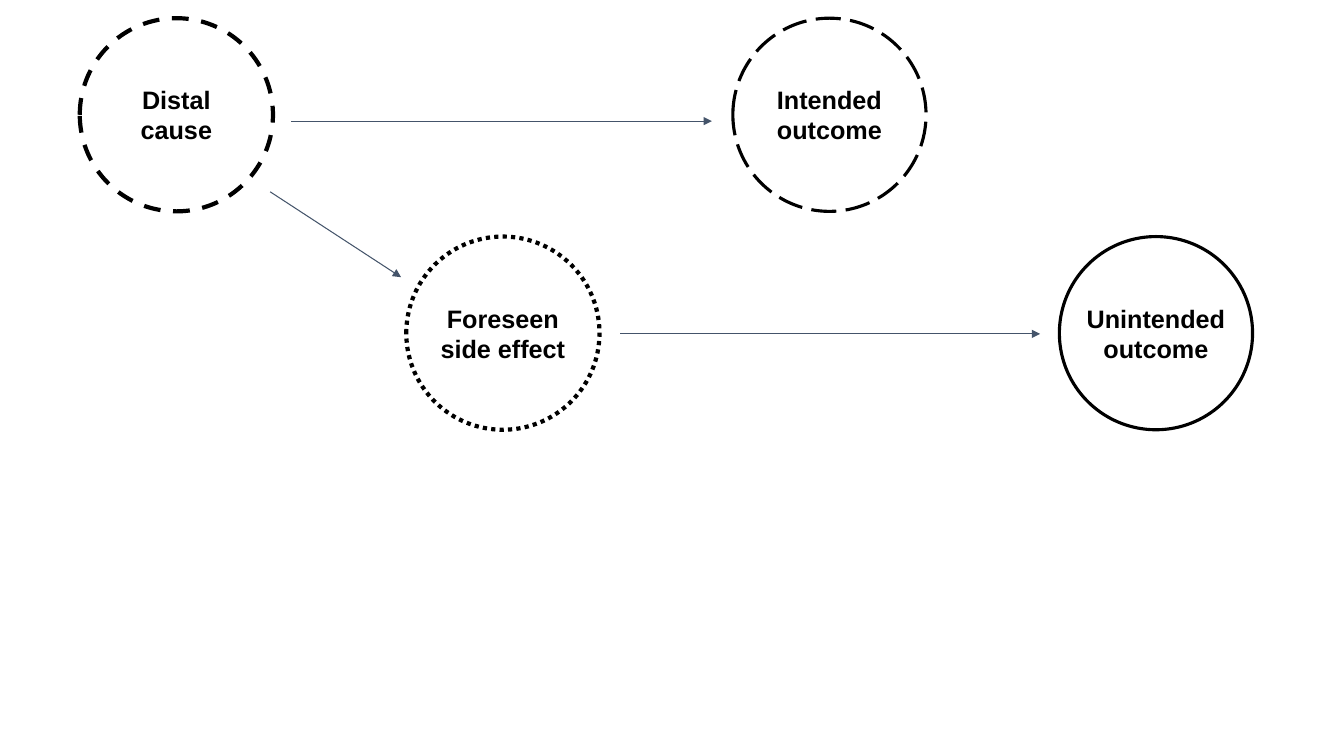
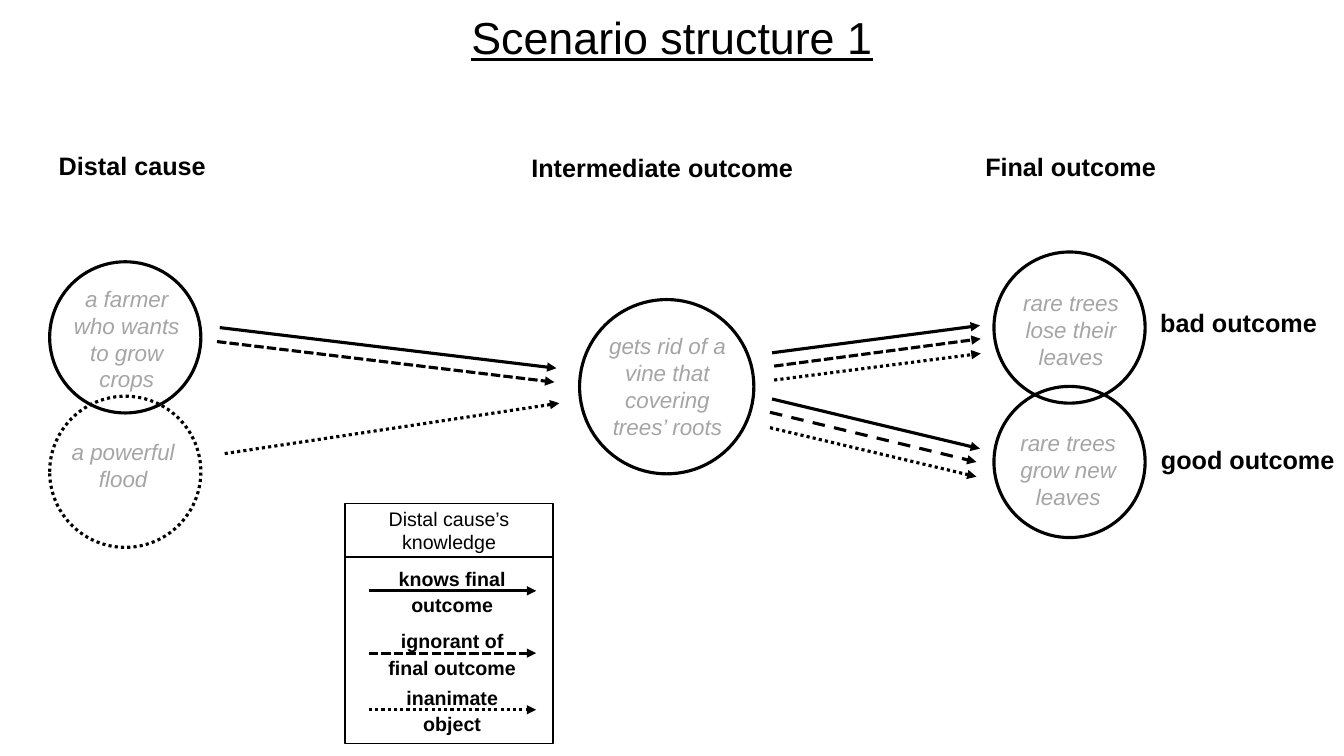
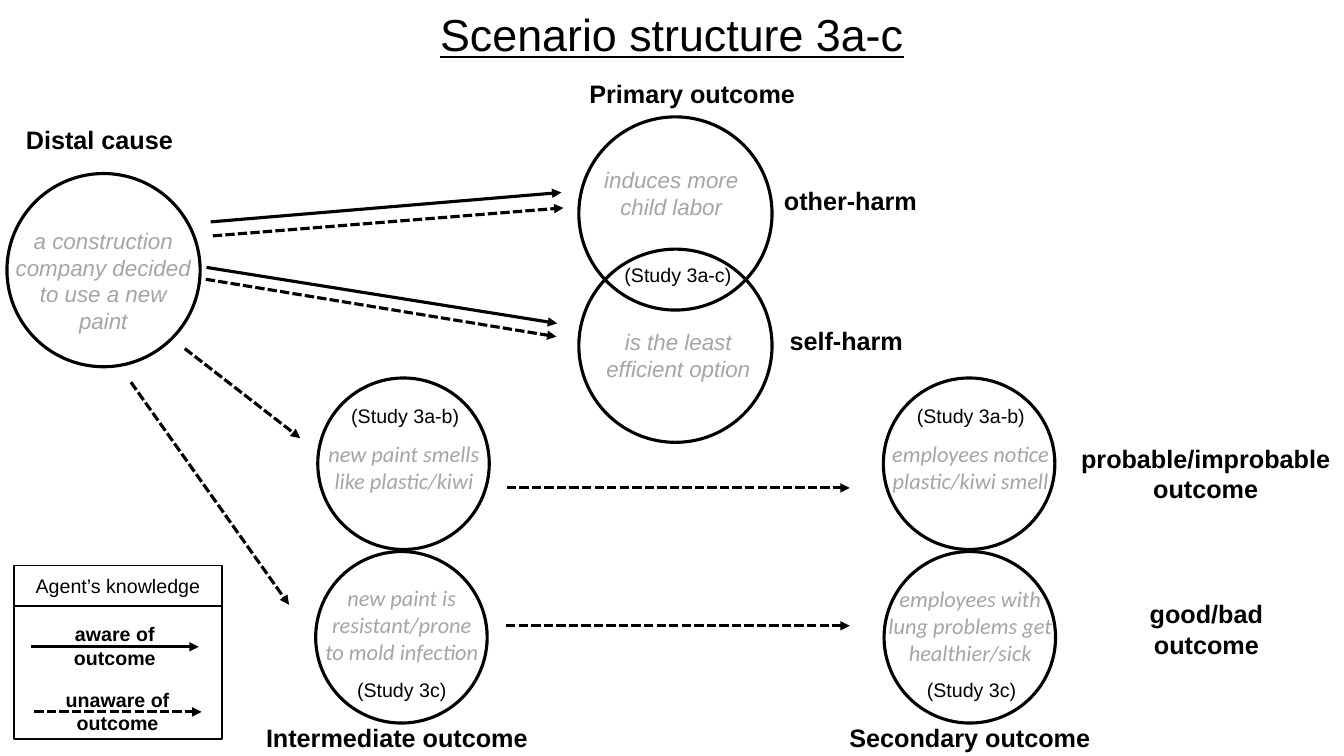
from lxml import etree
from pptx import Presentation
from pptx.dml.color import RGBColor
from pptx.enum.dml import MSO_LINE
from pptx.enum.shapes import MSO_CONNECTOR, MSO_SHAPE
from pptx.enum.text import MSO_ANCHOR, PP_ALIGN
from pptx.oxml.ns import qn
from pptx.util import Pt

RING, RECT = MSO_SHAPE.OVAL, MSO_SHAPE.RECTANGLE
DASH, LONG = MSO_LINE.DASH, MSO_LINE.LONG_DASH
SHORT, DOT = MSO_LINE.SQUARE_DOT, MSO_LINE.ROUND_DOT
SOLID = None
BLACK, GREY, SLATE = "000000", "A5A5A5", "44546A"

TITLE = dict(size=32, under=True)
LABEL = dict(bold=True, wrap=False)
BLOCK = dict(bold=True)
PHRASE = dict(size=16, slant=True, ink=GREY)
CALM = dict(PHRASE, font="Calibri")
STUDY = dict(size=14)


def put(page, text, x, y, w, h, kind=None, wide=2.25, dash=SOLID, size=18, font="Arial",
        ink=BLACK, bold=False, slant=False, under=False, wrap=True, lead=None):
    """Add centred text, in an outlined shape if a kind is given."""
    box = Pt(x), Pt(y), Pt(w), Pt(h)
    if kind is None:
        item = page.shapes.add_textbox(*box)
    else:
        item = page.shapes.add_shape(kind, *box)
        item.shadow.inherit = False
        item.fill.background()
        item.line.color.rgb = RGBColor.from_string(BLACK)
        item.line.width = Pt(wide)
        item.line.dash_style = dash
    frame = item.text_frame
    frame.word_wrap = wrap
    frame.vertical_anchor = MSO_ANCHOR.MIDDLE if kind else MSO_ANCHOR.TOP
    frame.text = text
    for para in frame.paragraphs:
        para.alignment = PP_ALIGN.CENTER
        if lead:
            para.line_spacing = Pt(lead)
        face = para.font
        face.name, face.size = font, Pt(size)
        face.bold, face.italic, face.underline = bold, slant, under
        face.color.rgb = RGBColor.from_string(ink)


def point(page, x1, y1, x2, y2, dash=SOLID, ink=BLACK, wide=2.25):
    """Add an arrow that ends at x2, y2."""
    item = page.shapes.add_connector(
        MSO_CONNECTOR.STRAIGHT, Pt(x1), Pt(y1), Pt(x2), Pt(y2))
    item.line.color.rgb = RGBColor.from_string(ink)
    item.line.width = Pt(wide)
    item.line.dash_style = dash
    props = item.element.spPr
    etree.SubElement(props.find(qn("a:ln")), qn("a:tailEnd"), type="triangle")
    etree.SubElement(props, qn("a:effectLst"))


deck = Presentation()
deck.slide_width, deck.slide_height = Pt(960), Pt(540)
blank = deck.slide_layouts[6]

# Causes and outcomes
page = deck.slides.add_slide(blank)
nodes = [
    ("Distal\ncause", 3, DASH),
    ("Foreseen\nside effect", 3, DOT),
    ("Intended\noutcome", 2.25, LONG),
    ("Unintended\noutcome", 2.25, SOLID),
]
for i, (text, wide, dash) in enumerate(nodes):
    put(page, text, 57 + 233.25 * i, 13 + 156 * (i % 2), 138, 138,
        kind=RING, wide=wide, dash=dash, **LABEL)
for ends in [(208, 86.5, 508.5, 86.5), (193, 137, 286.5, 198), (443, 238.5, 743, 238.5)]:
    point(page, *ends, ink=SLATE, wide=0.75)

# Scenario slides: rings are x, y, size; words are style, text, x, y, w, h;
# a key has its head, its place, the head and body heights, and rows of text, x, y, dash.
first = dict(
    title="Scenario structure 1", top=3.5,
    rings=[(35.5, 187, 108, SOLID), (35.5, 283, 108, DOT), (414, 214, 124.5, SOLID),
           (710, 180, 108, SOLID), (710, 276, 108, SOLID)],
    words=[
        (LABEL, "Distal cause", 2, 103.5, 185, 29),
        (LABEL, "Intermediate outcome", 371.5, 105, 203, 29),
        (LABEL, "Final outcome", 696, 104.5, 137.5, 29),
        (LABEL, "bad outcome", 821, 216, 127.5, 29),
        (LABEL, "good outcome", 821.5, 314, 139.5, 29),
        (PHRASE, "a farmer who wants to grow crops", 45.5, 200, 90, 85),
        (PHRASE, "a powerful flood", 43, 309.5, 90, 46),
        (PHRASE, "gets rid of a vine that covering trees’ roots", 421, 234, 111.5, 85),
        (PHRASE, "rare trees lose their leaves", 720, 203, 90, 65.5),
        (PHRASE, "rare trees grow new leaves", 718, 303, 90, 65.5),
    ],
    arrows=[
        (157, 234, 397.5, 263, SOLID), (155, 244, 396, 273, SHORT),
        (160.5, 324, 399.5, 288, DOT),
        (551.5, 252, 700, 232.5, SOLID), (553, 261.5, 700.5, 242, SHORT),
        (553, 271.5, 700.5, 252.5, DOT),
        (551.5, 285, 700, 320.5, SOLID), (550, 294.5, 697.5, 330, DASH),
        (550, 305.5, 697.5, 340.5, DOT),
    ],
    key=("Distal cause’s knowledge", 246.5, 359.5, 38.5, 133), lift=23, lead=19,
    rows=[("knows final outcome", 263.5, 422, SOLID),
          ("ignorant of\nfinal outcome", 263.5, 466.5, SHORT),
          ("inanimate\nobject", 263.5, 507, DOT)],
)
third = dict(
    title="Scenario structure 3a-c", top=1.5,
    rings=[(5, 124, 138, SOLID), (413.5, 83.5, 138, SOLID), (413.5, 178, 138, SOLID),
           (227, 270, 122.5, SOLID), (225.5, 394, 122.5, SOLID),
           (631, 270, 122.5, SOLID), (631.5, 394, 122.5, SOLID)],
    words=[
        (LABEL, "Distal cause", 11, 85.5, 120, 29),
        (LABEL, "Primary outcome", 381, 52.5, 227, 29),
        (LABEL, "Intermediate outcome", 181.5, 512.5, 204, 29),
        (LABEL, "Secondary outcome", 588, 512.5, 209.5, 29),
        (LABEL, "other-harm", 502, 129, 211, 29),
        (LABEL, "self-harm", 463.5, 229, 282, 29),
        (BLOCK, "probable/improbable outcome", 763, 313, 196.5, 51),
        (BLOCK, "good/bad outcome", 780, 424, 163.5, 51),
        (PHRASE, "a construction company decided to use a new paint", 2, 158.5, 143.5, 85),
        (PHRASE, "induces more child labor", 415.5, 115, 128, 46),
        (PHRASE, "is the least efficient option", 416, 231, 137, 46),
        (CALM, "new paint smells like plastic/kiwi", 224, 311, 129, 46),
        (CALM, "new paint is resistant/prone to mold infection", 222.5, 414, 129, 65.5),
        (CALM, "employees notice plastic/kiwi smell", 629.5, 311, 127.5, 46),
        (CALM, "employees with lung problems get healthier/sick", 625.5, 414.5, 135, 65.5),
        (STUDY, "(Study 3a-c)", 433.5, 184.5, 101.5, 24.5),
        (STUDY, "(Study 3a-b)", 237, 285, 105, 24.5),
        (STUDY, "(Study 3a-b)", 641, 285, 105, 24.5),
        (STUDY, "(Study 3c)", 245.5, 481, 83, 24.5),
        (STUDY, "(Study 3c)", 652.5, 481, 83, 24.5),
    ],
    arrows=[
        (150.5, 158.5, 401, 137.5, SOLID), (152, 168.5, 402.5, 148.5, SHORT),
        (147.5, 191, 398, 231, SOLID), (147, 199.5, 397.5, 240.5, SHORT),
        (132, 249, 214.5, 313, SHORT), (93.5, 273, 206.5, 432, SHORT),
        (362, 348.5, 607, 348.5, SHORT), (361.5, 447, 607, 447, SHORT),
    ],
    key=("Agent’s knowledge", 10, 404, 29, 95), lift=21, lead=None,
    rows=[("aware of outcome", 22.5, 462, SOLID),
          ("unaware of\noutcome", 24.5, 508.5, SHORT)],
)

for plan in (first, third):
    page = deck.slides.add_slide(blank)
    put(page, plan["title"], 0, plan["top"], 960, 46, **TITLE)
    for x, y, size, dash in plan["rings"]:
        put(page, "", x, y, size, size, kind=RING, dash=dash)
    for style, text, x, y, w, h in plan["words"]:
        put(page, text, x, y, w, h, **style)
    for arrow in plan["arrows"]:
        point(page, *arrow)

    head, x, y, high, deep = plan["key"]
    put(page, head, x, y, 148.5, high, kind=RECT, wide=1, size=14)
    put(page, "", x, y + high, 148.5, deep, kind=RECT, wide=1)
    for text, x, y, dash in plan["rows"]:
        put(page, text, x + 4.5, y - plan["lift"], 110, 43,
            size=14, bold=True, lead=plan["lead"])
        point(page, x, y, x + 119.5, y, dash)

deck.save("out.pptx")
